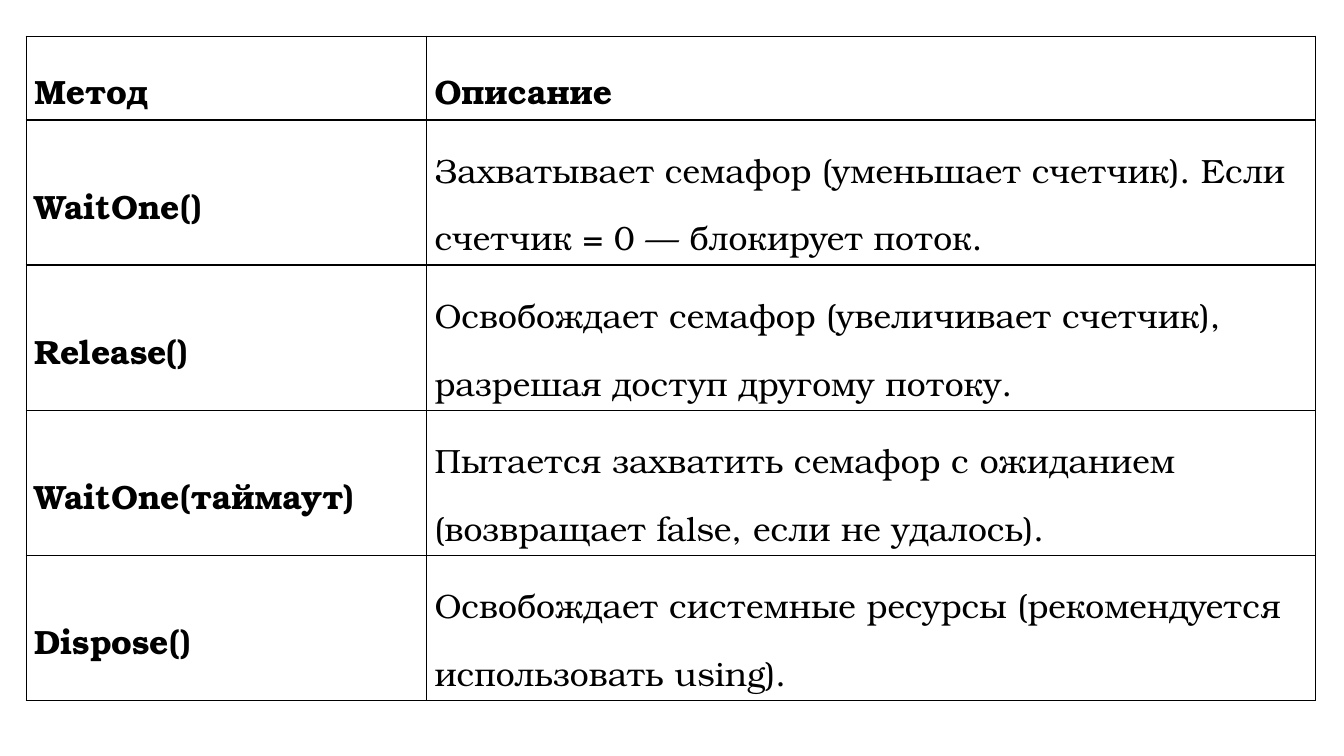
from pptx import Presentation
from pptx.util import Inches, Pt
from pptx.dml.color import RGBColor as RGB
from pptx.enum.text import MSO_ANCHOR as Anchor
from pptx.oxml import parse_xml
from pptx.oxml.ns import nsdecls

theme = {"font": "TeX Gyre Bonum", "size": 24, "ink": "000000", "paper": "FFFFFF", "line": 1}
wide, high = 13.33, 7.5
left, top = 0.26, 0.36
cols = [3.97, 8.82]
rows = [
    ("Метод", "Описание"),
    ("WaitOne()", "Захватывает семафор (уменьшает счетчик). Если счетчик = 0 — блокирует поток."),
    ("Release()", "Освобождает семафор (увеличивает счетчик), разрешая доступ другому потоку."),
    ("WaitOne(таймаут)", "Пытается захватить семафор с ожиданием (возвращает false, если не удалось)."),
    ("Dispose()", "Освобождает системные ресурсы (рекомендуется использовать using)."),
]
tall = [0.83] + [1.44] * (len(rows) - 1)

deck = Presentation()
deck.slide_width, deck.slide_height = Inches(wide), Inches(high)
slide = deck.slides.add_slide(deck.slide_layouts[6])
frame = slide.shapes.add_table(
    len(rows), len(cols), Inches(left), Inches(top), Inches(sum(cols)), Inches(sum(tall)))
table = frame.table
table.first_row = table.horz_banding = False
for col, width in zip(table.columns, cols):
    col.width = Inches(width)

box = {
    "margin_left": Inches(0.08),
    "margin_right": Inches(0.08),
    "margin_top": 0,
    "margin_bottom": 0,
    "vertical_anchor": Anchor.MIDDLE,
}
type_set = {"name": theme["font"], "size": Pt(theme["size"])}

for r, texts in enumerate(rows):
    table.rows[r].height = Inches(tall[r])
    for c, text in enumerate(texts):
        cell = table.cell(r, c)
        for key, value in box.items():
            setattr(cell, key, value)
        cell.fill.solid()
        cell.fill.fore_color.rgb = RGB.from_string(theme["paper"])

        para = cell.text_frame.paragraphs[0]
        para.line_spacing = 1.5
        run = para.add_run()
        run.text = text
        for key, value in {**type_set, "bold": r == 0 or c == 0}.items():
            setattr(run.font, key, value)
        run.font.color.rgb = RGB.from_string(theme["ink"])

        props = cell._tc.get_or_add_tcPr()
        for n, side in enumerate("LRTB"):
            props.insert(n, parse_xml(
                f'<a:ln{side} {nsdecls("a")} w="{Pt(theme["line"])}"><a:solidFill>'
                f'<a:srgbClr val="{theme["ink"]}"/></a:solidFill></a:ln{side}>'))

deck.save("out.pptx")
